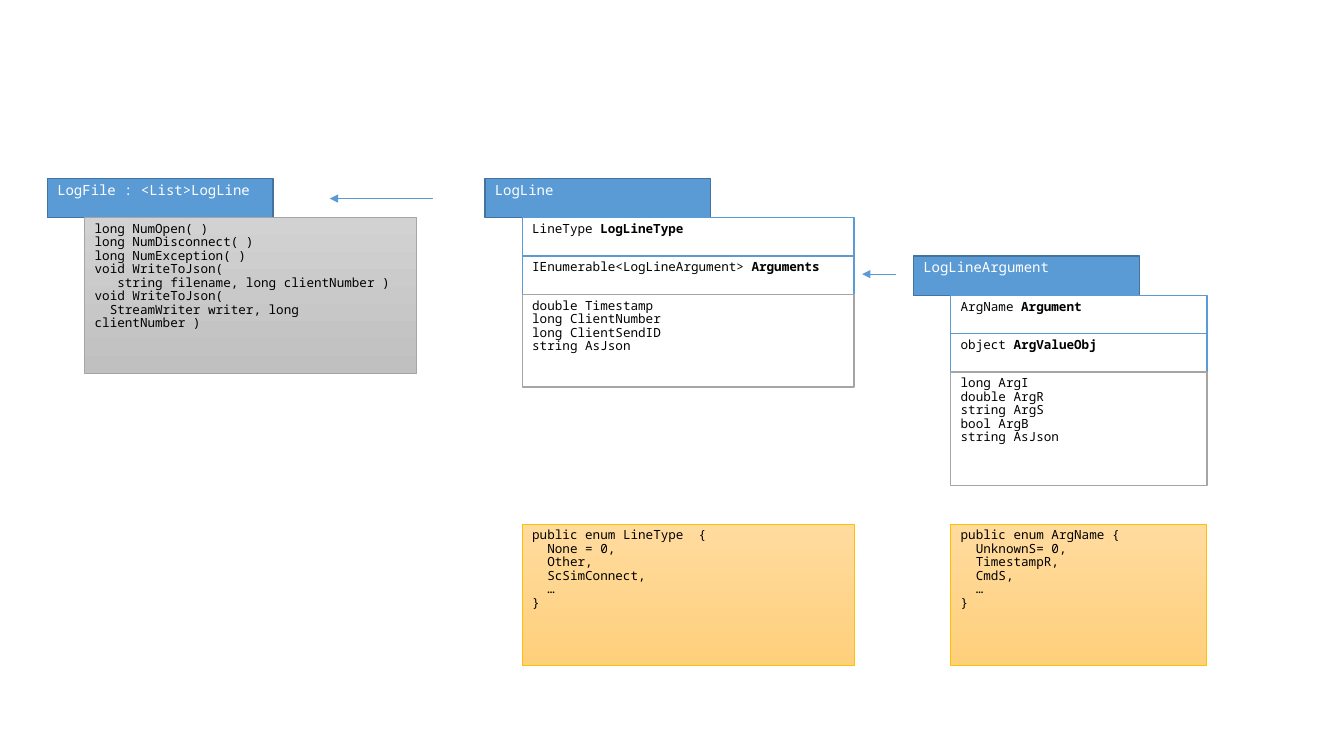
from lxml import etree
from pptx import Presentation
from pptx.dml.color import RGBColor
from pptx.enum.shapes import MSO_CONNECTOR, MSO_SHAPE
from pptx.enum.text import MSO_ANCHOR, PP_ALIGN
from pptx.oxml.ns import qn
from pptx.util import Pt

PX = 9144  # one px is a hundredth of an inch
FONT = "Noto Sans Mono"
CHARACTER_WIDTH = 0.6
LINE_SPACING = 0.89
COLOURS = {
    "blue": "5B9BD5",
    "dark blue": "43739E",
    "grey": "A5A5A5",
    "light grey": "D2D2D2",
    "mid grey": "C0C0C0",
    "gold": "FFC000",
    "light orange": "FFDB9E",
    "orange": "FFD07C",
    "white": "FFFFFF",
    "black": "000000",
}
GREY_GRADIENT = ("light grey", "mid grey")
ORANGE_GRADIENT = ("light orange", "orange")

HEADER_WIDTH, ROW_HEIGHT = 224, 39
ROW_STEP = 38
BODY_INDENT = 37


def colour(name):
    return RGBColor.from_string(COLOURS[name])


class ClassDiagram:
    def __init__(self, slide):
        self.slide = slide

    def box(self, left, top, width, height, fill, line, line_width=1):
        """Add a rectangle; a pair of colour names as fill gives a vertical gradient."""
        shape = self.slide.shapes.add_shape(
            MSO_SHAPE.RECTANGLE, left * PX, top * PX, width * PX, height * PX)
        shape.shadow.inherit = False
        if isinstance(fill, tuple):
            shape.fill.gradient()
            shape.fill.gradient_angle = 270
            for stop, name in zip(shape.fill.gradient_stops, fill):
                stop.color.rgb = colour(name)
        else:
            shape.fill.solid()
            shape.fill.fore_color.rgb = colour(fill)
        shape.line.color.rgb = colour(line)
        shape.line.width = Pt(line_width)
        shape.text_frame.word_wrap = True
        shape.text_frame.vertical_anchor = MSO_ANCHOR.TOP
        return shape

    def set_lines(self, shape, lines, size=9, text_colour="black", bold_part=""):
        """Fill a box with lines; leading blanks become a first-line indent."""
        frame = shape.text_frame
        frame.text = "\n".join(line.lstrip() for line in lines)
        if bold_part:
            bold_run = frame.paragraphs[-1].add_run()
            bold_run.text = bold_part
            bold_run.font.bold = True
        for line, paragraph in zip(lines, frame.paragraphs):
            paragraph.alignment = PP_ALIGN.LEFT
            paragraph.line_spacing = LINE_SPACING
            blanks = len(line) - len(line.lstrip())
            if blanks:
                properties = paragraph._p.get_or_add_pPr()
                properties.set("marL", "0")
                properties.set("indent", str(Pt(blanks * size * CHARACTER_WIDTH)))
            for run in paragraph.runs:
                run.font.name = FONT
                run.font.size = Pt(size)
                run.font.color.rgb = colour(text_colour)

    def header(self, left, top, name):
        shape = self.box(left, top, HEADER_WIDTH, ROW_HEIGHT, "blue", "dark blue")
        self.set_lines(shape, [name], size=10, text_colour="white")

    def field(self, left, top, width, type_name, name):
        shape = self.box(left, top, width, ROW_HEIGHT, "white", "blue")
        self.set_lines(shape, [type_name + " "], bold_part=name)

    def code(self, left, top, width, height, lines, fill, line, line_width=0.5):
        shape = self.box(left, top, width, height, fill, line, line_width)
        self.set_lines(shape, lines)

    def class_card(self, left, top, width, name, fields, members, members_height,
                   fill="white", line_width=1):
        """Stack a header, one row for each field and a block of members."""
        self.header(left, top, name)
        body_left, row_top = left + BODY_INDENT, top + ROW_HEIGHT
        for type_name, field_name in fields:
            self.field(body_left, row_top, width, type_name, field_name)
            row_top += ROW_STEP
        self.code(body_left, row_top, width, members_height, members,
                  fill, "grey", line_width)

    def arrow(self, start, end, y):
        connector = self.slide.shapes.add_connector(
            MSO_CONNECTOR.STRAIGHT, start * PX, y * PX, end * PX, y * PX)
        connector.line.color.rgb = colour("blue")
        connector.line.width = Pt(0.5)
        line = connector.line._get_or_add_ln()
        etree.SubElement(line, qn("a:tailEnd"), type="triangle")
        etree.SubElement(connector._element.spPr, qn("a:effectLst"))


def main():
    presentation = Presentation()
    presentation.slide_width, presentation.slide_height = 1333 * PX, 750 * PX
    slide = presentation.slides.add_slide(presentation.slide_layouts[6])
    diagram = ClassDiagram(slide)

    diagram.class_card(
        906, 254, 254, "LogLineArgument",
        [("ArgName", "Argument"), ("object", "ArgValueObj")],
        ["long ArgI", "double ArgR", "string ArgS", "bool ArgB", "string AsJson"],
        113)
    diagram.class_card(
        481, 177, 329, "LogLine",
        [("LineType", "LogLineType"),
         ("IEnumerable<LogLineArgument>", "Arguments")],
        ["double Timestamp", "long ClientNumber", "long ClientSendID",
         "string AsJson"],
        92)
    diagram.class_card(
        47, 177, 329, "LogFile : <List>LogLine", [],
        ["long NumOpen( )", "long NumDisconnect( )", "long NumException( )",
         "void WriteToJson(", "   string filename, long clientNumber )",
         "void WriteToJson(", "  StreamWriter writer, long clientNumber )"],
        154, fill=GREY_GRADIENT, line_width=0.5)

    enums = [
        (518, 329, ["public enum LineType  {", "  None = 0,", "  Other,",
                    "  ScSimConnect,", "  …", "}"]),
        (943, 254, ["public enum ArgName {", "  UnknownS= 0,", "  TimestampR,",
                    "  CmdS,", "  …", "}"]),
    ]
    for left, width, lines in enums:
        diagram.code(left, 520, width, 140, lines, ORANGE_GRADIENT, "gold")

    diagram.arrow(429, 327, 197)
    diagram.arrow(889, 855, 272)
    presentation.save("out.pptx")


if __name__ == "__main__":
    main()
